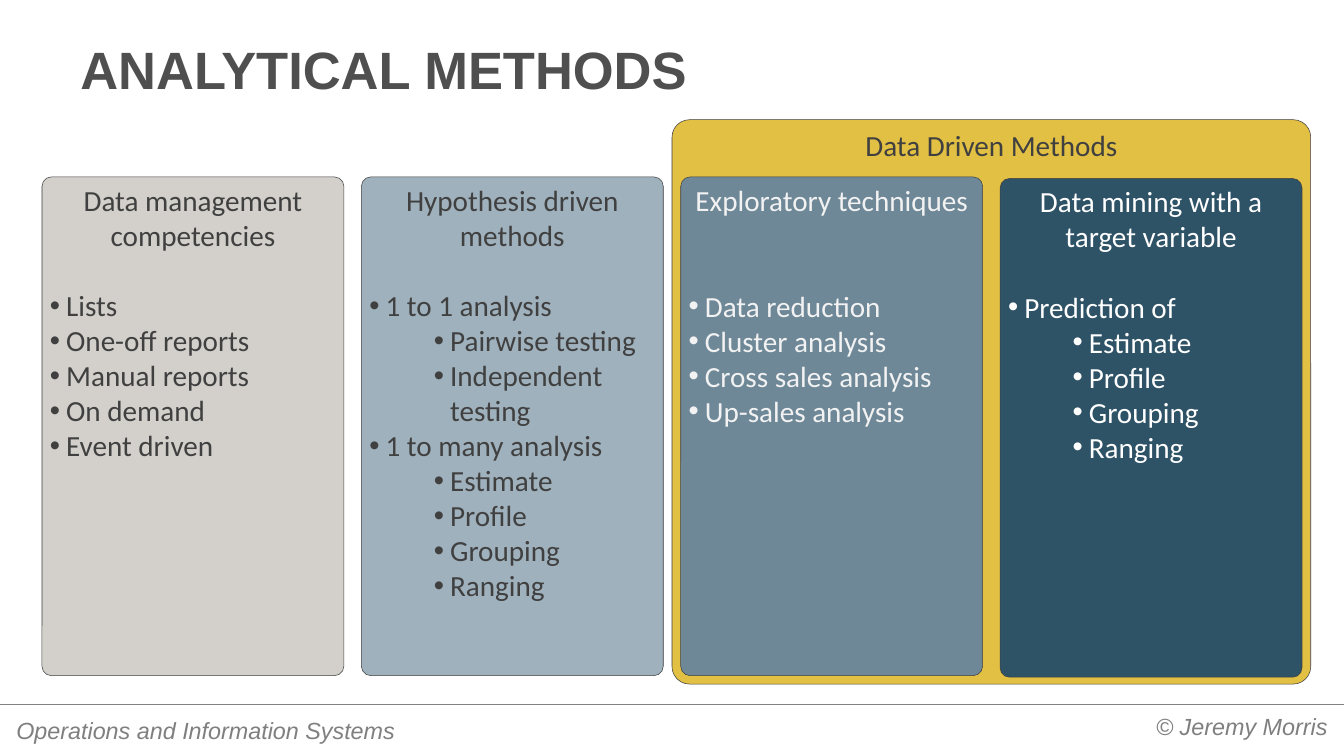
from dataclasses import dataclass

from lxml import etree
from pptx import Presentation, util as u
from pptx.dml.color import RGBColor
from pptx.enum import shapes, text
from pptx.oxml.ns import qn

WIDTH, HEIGHT = 25.6, 14.4
MARGIN, PANEL_W, PANEL_H, PANEL_TOP = 0.8, 5.75, 9.5, 3.37
GAP = (WIDTH - 2 * MARGIN - 4 * PANEL_W) / 3
PITCH = PANEL_W + GAP
CORNER = 0.031
BLANK_LINE = 48.8
HANGING = 0.31
INDENTS = (0.31, 1.54)

WHITE = RGBColor(0xFF, 0xFF, 0xFF)
PALE = RGBColor(0xF2, 0xF2, 0xF2)
CHARCOAL = RGBColor(0x40, 0x40, 0x40)
TITLE_GREY = RGBColor(0x4F, 0x4F, 0x4F)
FOOTER_GREY = RGBColor(0x7F, 0x7F, 0x7F)
RULE_GREY = RGBColor(0x80, 0x80, 0x80)
YELLOW = RGBColor(0xE2, 0xC0, 0x44)
STONE = RGBColor(0xD3, 0xD0, 0xCB)
MIST = RGBColor(0x9F, 0xB1, 0xBC)
SLATE = RGBColor(0x6E, 0x88, 0x98)
NAVY = RGBColor(0x2E, 0x52, 0x66)

LEFT, CENTER, RIGHT = text.PP_ALIGN.LEFT, text.PP_ALIGN.CENTER, text.PP_ALIGN.RIGHT
TITLE_FONT = {"name": "Arial", "size": u.Pt(72), "bold": True}
FOOTER_FONT = {"name": "Arial", "size": u.Pt(32), "italic": True}
PANEL_FONT = {"name": "Calibri", "size": u.Pt(40)}


@dataclass
class Panel:
    heading: str
    items: list[tuple[int, str]]
    fill: RGBColor
    color: RGBColor
    blank_lines: int = 1
    drop: float = 0


OUTCOMES = [(1, name) for name in ("Estimate", "Profile", "Grouping", "Ranging")]
PANELS = [
    Panel("Data management competencies",
          [(0, "Lists"), (0, "One-off reports"), (0, "Manual reports"),
           (0, "On demand"), (0, "Event driven")], STONE, CHARCOAL),
    Panel("Hypothesis driven methods",
          [(0, "1 to 1 analysis"), (1, "Pairwise testing"), (1, "Independent testing"),
           (0, "1 to many analysis"), *OUTCOMES], MIST, CHARCOAL),
    Panel("Exploratory techniques",
          [(0, "Data reduction"), (0, "Cluster analysis"),
           (0, "Cross sales analysis"), (0, "Up-sales analysis")],
          SLATE, PALE, blank_lines=2),
    Panel("Data mining with a target variable",
          [(0, "Prediction of"), *OUTCOMES], NAVY, WHITE, drop=0.03),
]


def box(*lengths: float) -> list[u.Inches]:
    return [u.Inches(v) for v in lengths]


def write(p, words: str, font: dict, color: RGBColor, align=LEFT) -> None:
    p.alignment = align
    r = p.add_run()
    r.text = words
    for key, value in font.items():
        setattr(r.font, key, value)
    r.font.color.rgb = color


def set_insets(tf, side: float, top: float) -> None:
    tf.margin_left = tf.margin_right = u.Inches(side)
    tf.margin_top = tf.margin_bottom = u.Inches(top)


def add_bullet(p, level: int) -> None:
    p.level = level
    pPr = p._p.get_or_add_pPr()
    pPr.set("marL", str(u.Inches(INDENTS[level])))
    pPr.set("indent", str(-u.Inches(HANGING)))
    etree.SubElement(pPr, qn("a:buFont")).set("typeface", "Arial")
    etree.SubElement(pPr, qn("a:buChar")).set("char", "•")


def add_card(s, at: list, fill: RGBColor):
    """Draw an outlined rounded rectangle and return its text frame."""
    sp = s.shapes.add_shape(shapes.MSO_SHAPE.ROUNDED_RECTANGLE, *at)
    sp.adjustments[0] = CORNER
    sp.shadow.inherit = False
    sp.fill.solid()
    sp.fill.fore_color.rgb = fill
    sp.line.color.rgb = CHARCOAL
    sp.line.width = u.Pt(0.75)
    tf = sp.text_frame
    tf.word_wrap = True
    tf.vertical_anchor = text.MSO_ANCHOR.TOP
    return tf


def add_panel(s, column: int, panel: Panel) -> None:
    at = box(MARGIN + column * PITCH, PANEL_TOP + panel.drop, PANEL_W, PANEL_H)
    tf = add_card(s, at, panel.fill)
    heading = tf.paragraphs[0]
    write(heading, panel.heading, PANEL_FONT, panel.color, CENTER)
    heading.space_after = u.Pt(BLANK_LINE * panel.blank_lines)
    for level, words in panel.items:
        p = tf.add_paragraph()
        add_bullet(p, level)
        write(p, words, PANEL_FONT, panel.color)


def add_footer(s, at: list, words: str, align) -> None:
    tf = s.shapes.add_textbox(*at).text_frame
    tf.word_wrap = True
    set_insets(tf, 0.18, 0.09)
    write(tf.paragraphs[0], words, FOOTER_FONT, FOOTER_GREY, align)


def add_rule(s, y: float) -> None:
    line = s.shapes.add_connector(shapes.MSO_CONNECTOR.STRAIGHT, *box(0, y, WIDTH, y))
    line.line.color.rgb = RULE_GREY
    line.line.width = u.Pt(0.75)
    etree.SubElement(line._element.spPr, qn("a:effectLst"))


def add_title(s, words: str) -> None:
    title = s.shapes.title
    title.left, title.top, title.width, title.height = box(
        WIDTH * 0.05, 0.53, WIDTH * 0.9, 1.49)
    tf = title.text_frame
    tf.auto_size = text.MSO_AUTO_SIZE.NONE
    tf.vertical_anchor = text.MSO_ANCHOR.BOTTOM
    set_insets(tf, 0.25, 0.12)
    write(tf.paragraphs[0], words, TITLE_FONT, TITLE_GREY)


def main() -> None:
    prs = Presentation()
    prs.slide_width, prs.slide_height = box(WIDTH, HEIGHT)
    s = prs.slides.add_slide(prs.slide_layouts[5])

    add_rule(s, 13.41)
    add_footer(s, box(14.58, 13.48, 10.89, 0.72), "© Jeremy Morris", RIGHT)
    add_footer(s, box(0.13, 13.56, 8.75, 0.72), "Operations and Information Systems", LEFT)

    group_at = box(MARGIN + 2 * PITCH - GAP / 2, 2.28, 2 * PITCH, 10.75)
    group = add_card(s, group_at, YELLOW)
    write(group.paragraphs[0], "Data Driven Methods", PANEL_FONT, CHARCOAL, CENTER)

    add_title(s, "ANALYTICAL METHODS")
    for column, panel in enumerate(PANELS):
        add_panel(s, column, panel)

    prs.save("out.pptx")


if __name__ == "__main__":
    main()
